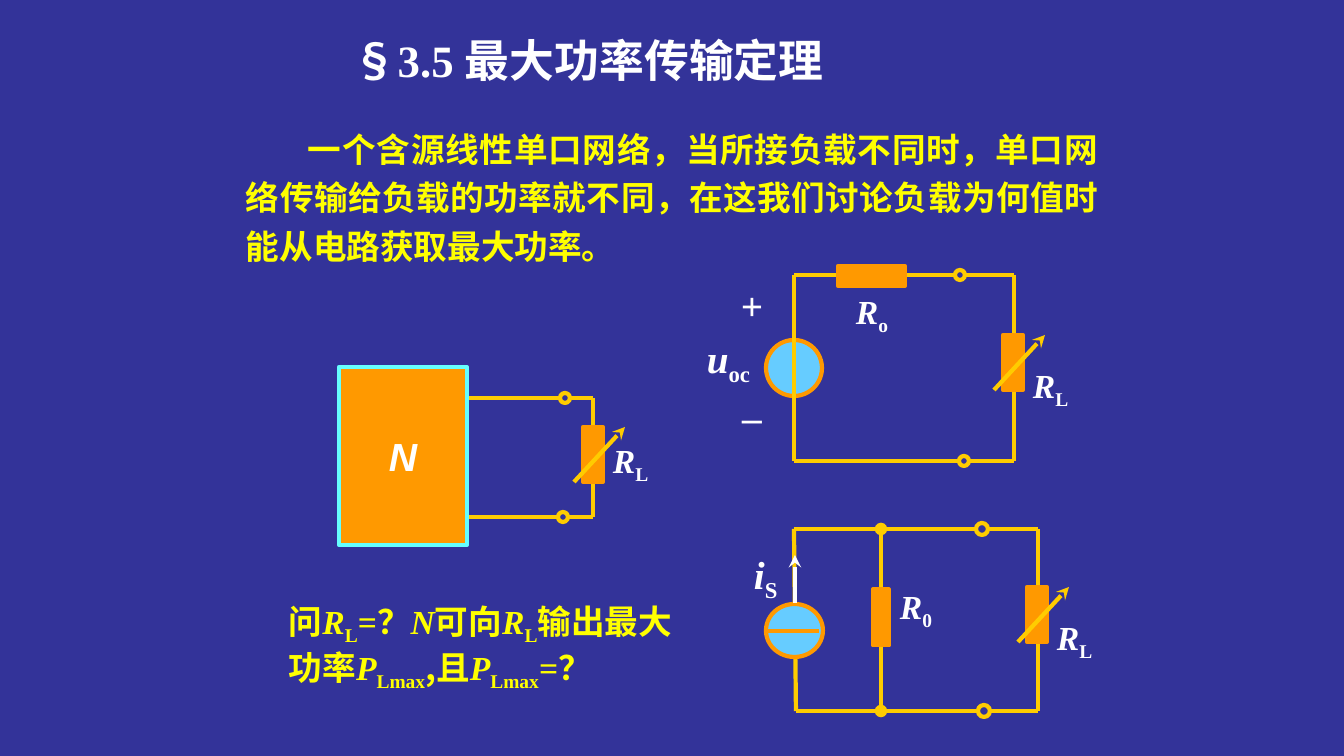
from dataclasses import dataclass

from lxml.etree import SubElement
from pptx import Presentation
from pptx.dml.color import RGBColor
from pptx.enum.shapes import MSO_CONNECTOR, MSO_SHAPE
from pptx.enum.text import MSO_ANCHOR, PP_ALIGN
from pptx.oxml.ns import qn
from pptx.slide import Slide
from pptx.util import Emu, Pt

NAVY = RGBColor(0x33, 0x33, 0x99)
WHITE = RGBColor(0xFF, 0xFF, 0xFF)
YELLOW = RGBColor(0xFF, 0xFF, 0x00)
ORANGE = RGBColor(0xFF, 0x99, 0x00)
GOLD = RGBColor(0xFF, 0xCC, 0x00)
SKY = RGBColor(0x66, 0xCC, 0xFF)
CYAN = RGBColor(0x66, 0xFF, 0xFF)

SERIF = "Times New Roman"
CJK = "Noto Sans CJK SC"
EMU_PER_PX = 914400 / 100.8


def px(length):
    return Emu(round(length * EMU_PER_PX))


def set_font(para, size, color, name=SERIF):
    para.font.size = Pt(size)
    para.font.bold = True
    para.font.color.rgb = color
    para.font.name = name
    SubElement(para.font._rPr, qn("a:ea"), typeface=CJK)


def add_spans(para, parts):
    """Each part is (text, style); a style is plain, italic, sub or cjk."""
    for text, style in parts:
        span = para.add_run()
        span.text = text
        if style == "italic":
            span.font.italic = True
        elif style == "sub":
            span._r.get_or_add_rPr().set("baseline", "-25000")
        elif style == "cjk":
            span.font.name = CJK


@dataclass
class Region:
    """A part of the page; all positions are px from its top left corner."""
    page: Slide
    left: int
    top: int

    def frame(self, x, y, width, height):
        return px(self.left + x), px(self.top + y), px(width), px(height)

    def text(self, x, y, width, height, parts, size, color=WHITE):
        box = self.page.shapes.add_textbox(*self.frame(x, y, width, height))
        box.text_frame.word_wrap = True
        para = box.text_frame.paragraphs[0]
        add_spans(para, parts)
        set_font(para, size, color)
        return box

    def symbol(self, x, y, width, height, letter, index, size=24):
        self.text(x, y, width, height, [(letter, "italic"), (index, "sub")], size)

    def shape(self, kind, x, y, width, height, fill, line, weight=3):
        item = self.page.shapes.add_shape(kind, *self.frame(x, y, width, height))
        item.shadow.inherit = False
        if fill is None:
            item.fill.background()
        else:
            item.fill.solid()
            item.fill.fore_color.rgb = fill
        item.line.color.rgb = line
        item.line.width = Pt(weight)
        return item

    def resistor(self, x, y, width, height, weight=3):
        self.shape(MSO_SHAPE.RECTANGLE, x, y, width, height, ORANGE, ORANGE, weight)

    def source(self, x, y, width, height):
        self.shape(MSO_SHAPE.OVAL, x, y, width, height, SKY, ORANGE)

    def terminal(self, center_x, center_y, size=10):
        self.shape(MSO_SHAPE.OVAL, center_x - size / 2, center_y - size / 2,
                   size, size, None, GOLD)

    def wire(self, x1, y1, x2, y2, color=GOLD, head=None, tail=None):
        link = self.page.shapes.add_connector(
            MSO_CONNECTOR.STRAIGHT, px(self.left + x1), px(self.top + y1),
            px(self.left + x2), px(self.top + y2))
        link.line.color.rgb = color
        link.line.width = Pt(3)
        for tag, end in (("a:headEnd", head), ("a:tailEnd", tail)):
            if end:
                SubElement(link.line._get_or_add_ln(), qn(tag), type=end)
        SubElement(link._element.spPr, qn("a:effectLst"))

    def load(self, x, y, label_drop=25):
        """Variable resistor RL crossed by an arrow."""
        self.resistor(x + 9, y, 20, 55)
        self.wire(x, y + 55, x + 51, y, tail="stealth")
        self.symbol(x + 29, y + label_drop, 60, 50, "R", "L")


def add_heading(page, left, top):
    Region(page, left, top).text(
        0, 0, 666, 65, [("§", "cjk"), ("3.5 ", "plain"), ("最大功率传输定理", "cjk")], 32)


def add_introduction(page, left, top):
    box = Region(page, left, top).text(0, 0, 872, 157, [(
        "一个含源线性单口网络，当所接负载不同时，单口网络传输给负载的功率就不同，"
        "在这我们讨论负载为何值时能从电路获取最大功率。", "cjk")], 24, YELLOW)
    para = box.text_frame.paragraphs[0]
    para.alignment = PP_ALIGN.JUSTIFY
    para.line_spacing = 1.2
    para._p.get_or_add_pPr().set("indent", str(px(62)))


def add_question(page, left, top):
    Region(page, left, top).text(0, 0, 427, 92, [
        ("问", "plain"), ("R", "italic"), ("L", "sub"), ("=？", "plain"),
        ("N", "italic"), ("可向", "plain"), ("R", "italic"), ("L", "sub"),
        ("输出最大功率", "plain"), ("P", "italic"), ("Lmax", "sub"), (",", "cjk"),
        ("且", "plain"), ("P", "italic"), ("Lmax", "sub"), ("=？", "plain"),
    ], 24, YELLOW)


def add_network_circuit(page, left, top):
    region = Region(page, left, top)
    # One-port network N
    network = region.shape(MSO_SHAPE.RECTANGLE, 0, 0, 128, 178, ORANGE, CYAN)
    network.text_frame.vertical_anchor = MSO_ANCHOR.MIDDLE
    para = network.text_frame.paragraphs[0]
    para.alignment = PP_ALIGN.CENTER
    add_spans(para, [("N", "italic")])
    set_font(para, 28, WHITE, "Arial")
    # Terminals and wires
    for y, center in ((31, 226), (150, 224)):
        region.wire(130, y, center - 5, y)
        region.wire(center + 5, y, 254, y)
        region.terminal(center, y)
    region.wire(254, 31, 254, 150)
    region.load(235, 60, label_drop=8)


def add_voltage_circuit(page, left, top):
    region = Region(page, left, top)
    # Voltage source with its signs
    region.source(-28, 65, 56, 56)
    for sign, y in (("+", 1), ("_", 99)):
        box = region.text(-63, y, 42, 57, [(sign, "plain")], 28)
        box.text_frame.vertical_anchor = MSO_ANCHOR.MIDDLE
        box.text_frame.paragraphs[0].alignment = PP_ALIGN.CENTER
    region.symbol(-97, 54, 70, 57, "u", "oc", 28)
    # Loop
    region.wire(0, 0, 0, 186)
    for y, center in ((0, 166), (186, 170)):
        region.wire(0, y, center - 5, y)
        region.wire(center + 5, y, 220, y)
        region.terminal(center, y)
    region.wire(220, 0, 220, 186)
    # Inner resistor and load
    region.resistor(44, -9, 67, 20)
    region.symbol(52, 11, 64, 50, "R", "o")
    region.load(200, 60)


def add_current_circuit(page, left, top):
    region = Region(page, left, top)
    # Loop
    region.wire(0, 0, 2, 182)
    for y, start, center in ((0, 0, 188), (182, 2, 190)):
        region.wire(start, y, center - 6, y)
        region.wire(center + 7, y, 244, y)
        region.terminal(center, y, 12)
    region.wire(244, 0, 244, 182)
    # Current source
    region.source(-28, 75, 57, 53)
    region.wire(-26, 102, 25, 102, ORANGE)
    region.wire(1, 74, 1, 26, WHITE, tail="stealth")
    region.symbol(-50, 16, 50, 57, "i", "S", 28)
    # Parallel resistor and load
    region.wire(87, 0, 87, 182, head="oval", tail="oval")
    region.resistor(79, 60, 16, 57, 2.25)
    region.symbol(96, 52, 58, 50, "R", "0")
    region.load(224, 58)


def main():
    deck = Presentation()
    deck.slide_width, deck.slide_height = px(1344), px(756)
    page = deck.slides.add_slide(deck.slide_layouts[6])
    page.background.fill.solid()
    page.background.fill.fore_color.rgb = NAVY
    add_heading(page, 343, 28)
    add_introduction(page, 236, 116)
    add_network_circuit(page, 339, 367)
    add_voltage_circuit(page, 794, 275)
    add_question(page, 279, 596)
    add_current_circuit(page, 794, 529)
    deck.save("out.pptx")


if __name__ == "__main__":
    main()
